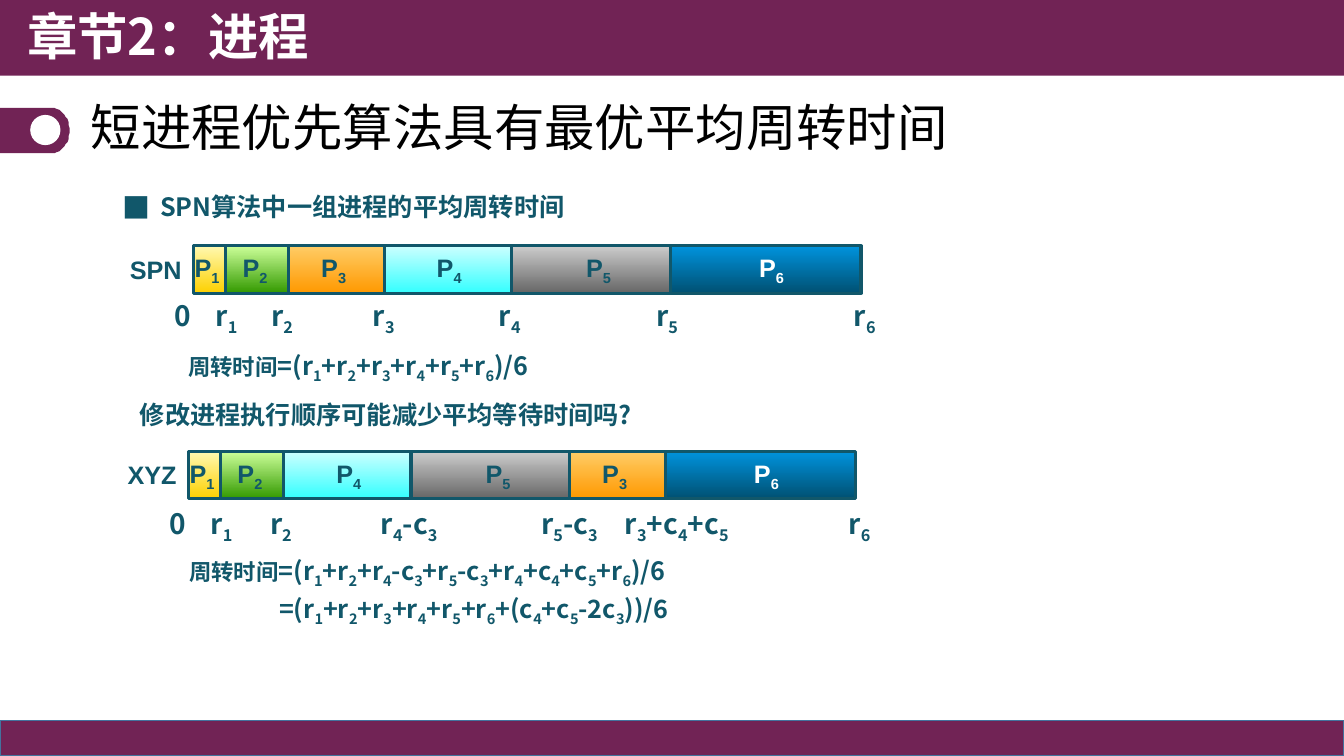
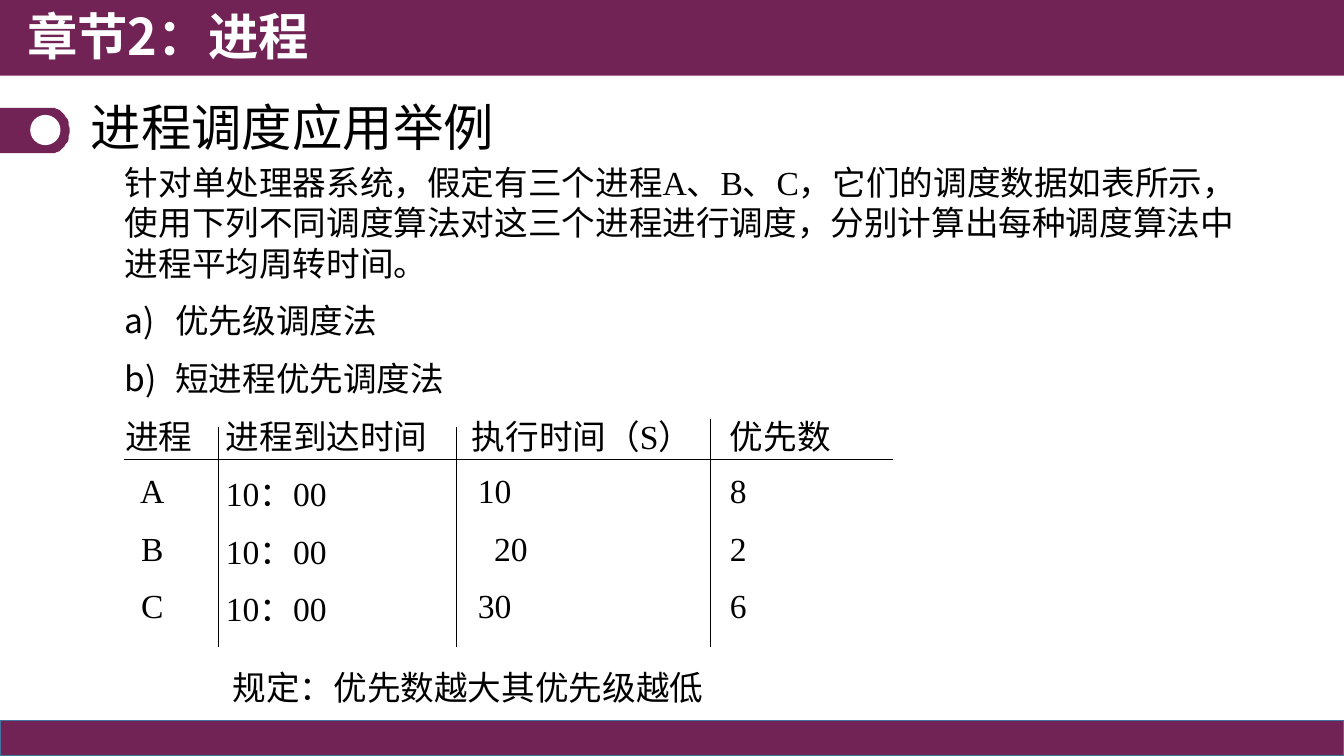
from itertools import accumulate
from math import cos, pi, sin

from pptx import Presentation
from pptx import util as u
from pptx.dml.color import RGBColor
from pptx.enum import shapes, text
from pptx.oxml.ns import qn
from lxml import etree

PX = 9144  # EMU per px, 100 px to the inch
WIDE, HIGH = 1333, 750

PLUM = RGBColor(0x71, 0x23, 0x55)
EDGE = RGBColor(0x43, 0x73, 0x9E)
TEAL = RGBColor(0x11, 0x57, 0x6A)
WHITE = RGBColor(0xFF, 0xFF, 0xFF)
BLACK = RGBColor(0, 0, 0)
SANS, ARIAL, TIMES = "Noto Sans CJK SC", "Arial", "Times New Roman"

# process: length, left inset of its label, top and bottom colour, text colour
TASKS = {
    1: (1, 1, RGBColor(0xFF, 0xF9, 0xB1), RGBColor(0xFD, 0xD0, 0x00), TEAL),
    2: (2, 17, RGBColor(0xCC, 0xFF, 0x99), RGBColor(0x33, 0x99, 0x00), TEAL),
    3: (3, 32, RGBColor(0xFF, 0xCC, 0x66), RGBColor(0xFF, 0x99, 0x00), TEAL),
    4: (4, 52, RGBColor(0xCC, 0xFF, 0xFF), RGBColor(0x33, 0xFF, 0xFF), TEAL),
    5: (5, 74, RGBColor(0xCC, 0xCC, 0xCC), RGBColor(0x66, 0x66, 0x66), TEAL),
    6: (6, 88, RGBColor(0x00, 0x93, 0xDD), RGBColor(0x00, 0x50, 0x72), WHITE),
}


def px(*nums):
    return [u.Emu(round(n * PX)) for n in nums]


def style(run, size, color, font=SANS, bold=False):
    run.font.size, run.font.bold, run.font.name = u.Pt(size), bold, font
    run.font.color.rgb = color
    props = run._r.get_or_add_rPr()
    east = etree.SubElement(props, qn("a:ea"))
    east.set("typeface", SANS)
    return props


def write(para, words, size, color, font=SANS, bold=False):
    """Add runs to para; the letter after each _ is a subscript."""
    first, *rest = words.split("_")
    parts = [(first, False)]
    for part in rest:
        parts += [(part[0], True), (part[1:], False)]
    for part, low in parts:
        if part:
            run = para.add_run()
            run.text = part
            props = style(run, size, color, font, bold)
            if low:
                props.set("baseline", "-25000")


def bullet(para, left, *marks):
    """Hang para by left px, with marks as (tag, attributes)."""
    props = para._p.get_or_add_pPr()
    props.set("marL", str(left * PX))
    props.set("indent", str(-left * PX))
    for tag, attrs in marks:
        etree.SubElement(props, qn(tag), attrs)


def label(slide, box, words, size=18, color=TEAL, font=SANS, bold=True):
    frame = slide.shapes.add_textbox(*px(*box)).text_frame
    frame.word_wrap = True
    para = frame.paragraphs[0]
    write(para, words, size, color, font, bold)
    return para


def paint(shape, color):
    shape.shadow.inherit = False
    shape.fill.solid()
    shape.fill.fore_color.rgb = color
    shape.line.fill.background()
    return shape


def block(slide, kind, box, color):
    return paint(slide.shapes.add_shape(kind, *px(*box)), color)


def bands(slide, layout):
    """Draw the top and bottom bands and move them to the layout."""
    kind = shapes.MSO_SHAPE.RECTANGLE
    top = block(slide, kind, (0, 0, WIDE, 75), PLUM)
    foot = block(slide, kind, (0, 715, WIDE, 35), PLUM)
    foot.line.color.rgb, foot.line.width = EDGE, u.Pt(1)
    for num, band in enumerate((top, foot)):
        band.element.nvSpPr.cNvPr.set("id", str(100 + num))
        layout.shapes.element.insert(2 + num, band.element)


def marker(slide, x, y):
    rim = [(x + 52 + 17 * sin(pi * k / 24), y + 22.5 - 22.5 * cos(pi * k / 24))
           for k in range(25)]
    tab = slide.shapes.build_freeform(x, y, scale=PX)
    tab.add_line_segments(rim + [(x, y + 45)], close=True)
    paint(tab.convert_to_shape(), PLUM)
    block(slide, shapes.MSO_SHAPE.OVAL, (x + 30, y + 7, 30, 30), WHITE)


def start(deck, name):
    """Add a slide with the chapter, title and marker."""
    slide = deck.slides.add_slide(deck.slide_layouts[5])
    title = slide.shapes.title
    title.left, title.top, title.width, title.height = px(80, 87, 1000, 85)
    frame = title.text_frame
    frame.word_wrap, frame.auto_size = True, text.MSO_AUTO_SIZE.NONE
    frame.vertical_anchor = text.MSO_ANCHOR.MIDDLE
    para = frame.paragraphs[0]
    para.alignment, para.line_spacing = text.PP_ALIGN.LEFT, 0.9
    write(para, name, 36, BLACK)
    label(slide, (17, 0, 667, 77), "章节2：进程", 36, WHITE)
    marker(slide, 0, 107)
    return slide


def task(slide, box, num):
    _, inset, light, dark, color = TASKS[num]
    bar = block(slide, shapes.MSO_SHAPE.RECTANGLE, box, light)
    bar.fill.gradient()
    bar.fill.gradient_angle = 270
    for stop, shade in zip(bar.fill.gradient_stops, (light, dark)):
        stop.color.rgb = shade
    bar.line.color.rgb, bar.line.width = TEAL, u.Pt(2.25)
    frame = bar.text_frame
    frame.word_wrap, frame.vertical_anchor = True, text.MSO_ANCHOR.MIDDLE
    frame.margin_left, frame.margin_right = px(inset, 0)
    para = frame.paragraphs[0]
    para.alignment = text.PP_ALIGN.LEFT
    write(para, f"P_{num}", 18, color, ARIAL, True)


def gantt(slide, box, name, order, drop, ticks):
    """Draw a schedule bar in box, with tick labels drop px below its top."""
    x, y, wide, high = box
    ends = [0, *accumulate(TASKS[num][0] for num in order)]
    unit = wide / ends[-1]
    for num, done in zip(order, ends):
        task(slide, (x + done * unit, y, TASKS[num][0] * unit, high), num)
    head = label(slide, (x - 82, y + 3, 80, 40), name, font=ARIAL)
    head.alignment = text.PP_ALIGN.RIGHT
    for left, words in ticks:
        wide = 47 * max(1, words.count("_"))
        label(slide, (x + left, y + drop, wide, 47), words, 20)


def sums(slide, x, y, words, lead=""):
    """Write a formula, with an optional smaller lead-in."""
    para = label(slide, (x, y, 620, 41), lead, 16)
    para.line_spacing = 0.9
    write(para, words, 18, TEAL, SANS, True)


def proof(deck):
    slide = start(deck, "短进程优先算法具有最优平均周转时间")
    head = label(slide, (112, 188, 520, 41), "SPN算法中一组进程的平均周转时间")
    bullet(head, 37, ("a:buSzPct", {"val": "111000"}),
           ("a:buFont", {"typeface": "Noto Sans CJK JP"}),
           ("a:buChar", {"char": "■"}))
    head.line_spacing = 0.9
    gantt(slide, (192, 244, 662, 47), "SPN", (1, 2, 3, 4, 5, 6), 47,
          [(-29, "0"), (12, "r_1"), (67, "r_2"), (168, "r_3"),
           (293, "r_4"), (449, "r_5"), (645, "r_6")])
    sums(slide, 177, 343, "=(r_1+r_2+r_3+r_4+r_5+r_6)/6", "周转时间")
    sums(slide, 129, 395, "修改进程执行顺序可能减少平均等待时间吗?")
    gantt(slide, (187, 448, 662, 47), "XYZ", (1, 2, 4, 5, 3, 6), 50,
          [(-29, "0"), (12, "r_1"), (71, "r_2"), (181, "r_4-c_3"),
           (340, "r_5-c_3"), (423, "r_3+c_4+c_5"), (645, "r_6")])
    sums(slide, 178, 546,
         "=(r_1+r_2+r_4-c_3+r_5-c_3+r_4+c_4+c_5+r_6)/6", "周转时间")
    sums(slide, 267, 584, "=(r_1+r_2+r_3+r_4+r_5+r_6+(c_4+c_5-2c_3))/6")
    return slide


def prose(slide, box, lines):
    """Write an opening paragraph followed by a lettered list."""
    frame = slide.shapes.add_textbox(*px(*box)).text_frame
    frame.word_wrap = True
    for num, words in enumerate(lines):
        para = frame.add_paragraph() if num else frame.paragraphs[0]
        if num:
            bullet(para, 50, ("a:buFont", {"typeface": TIMES}),
                   ("a:buAutoNum", {"type": "alphaLcParenR"}))
            para.space_before = u.Pt(12)
        para.line_spacing = u.Pt(29)
        write(para, words, 24, BLACK, TIMES)


def grid(slide, x, y, cols, high, rows):
    """Fill a plain table; rows hold texts and their left insets."""
    size = px(x, y, sum(cols), high * len(rows))
    table = slide.shapes.add_table(len(rows), len(cols), *size).table
    table.first_row = table.horz_banding = False
    for col, wide in zip(table.columns, cols):
        col.width = px(wide)[0]
    for row, (words, pads) in zip(table.rows, rows):
        row.height = px(high)[0]
        for cell, word, pad in zip(row.cells, words, pads):
            cell.fill.background()
            cell.vertical_anchor = text.MSO_ANCHOR.MIDDLE
            cell.margin_left = px(pad)[0]
            cell.margin_right = cell.margin_top = cell.margin_bottom = 0
            write(cell.text_frame.paragraphs[0], word, 24, BLACK, TIMES)


def rule(slide, *ends):
    line = slide.shapes.add_connector(shapes.MSO_CONNECTOR.STRAIGHT, *px(*ends))
    line.line.color.rgb, line.line.width = BLACK, u.Pt(0.75)
    etree.SubElement(line.element.spPr, qn("a:effectLst"))


def example(deck):
    slide = start(deck, "进程调度应用举例")
    prose(slide, (114, 155, 1139, 245), [
        "针对单处理器系统，假定有三个进程A、B、C，它们的调度数据如表所示，"
        "使用下列不同调度算法对这三个进程进行调度，"
        "分别计算出每种调度算法中进程平均周转时间。",
        "优先级调度法", "短进程优先调度法"])
    grid(slide, 124, 403, (93, 236, 252, 181), 57, [
        (("进程", "进程到达时间", "执行时间（S）", "优先数"), (0, 7, 15, 19)),
        (("A", "10：00", "10", "8"), (15, 7, 21, 19)),
        (("B", "10：00", "20", "2"), (16, 7, 37, 19)),
        (("C", "10：00", "30", "6"), (16, 7, 21, 19))])
    rule(slide, 123, 456, 886, 456)
    for x, top in ((217, 424), (453, 424), (705, 416)):
        rule(slide, x, top, x, 642)
    note = label(slide, (221, 656, 811, 50), "规定：优先数越大其优先级越低",
                 24, BLACK, TIMES, False)
    note.line_spacing = u.Pt(29)


def main():
    deck = Presentation()
    deck.slide_width, deck.slide_height = px(WIDE, HIGH)
    bands(proof(deck), deck.slide_layouts[5])
    example(deck)
    deck.save("out.pptx")


if __name__ == "__main__":
    main()
